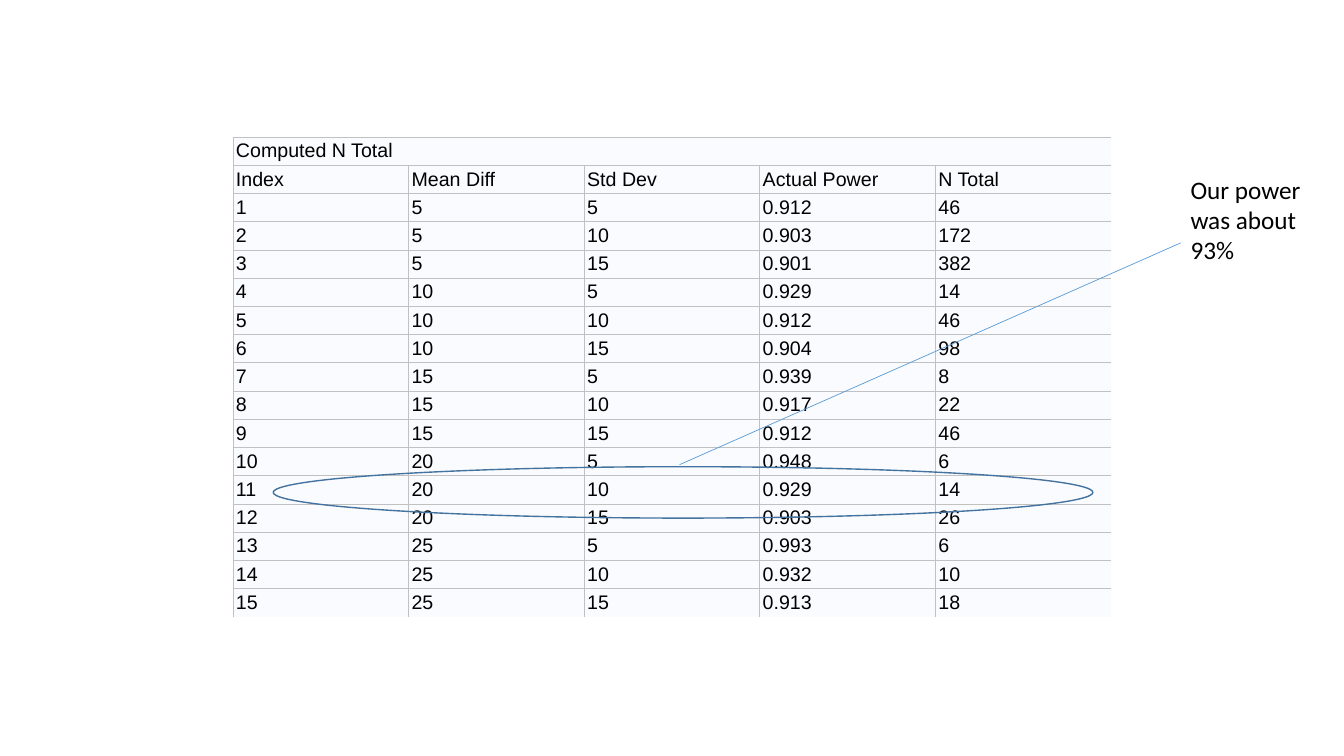
from itertools import product

from lxml.etree import SubElement
from pptx import Presentation
from pptx.dml.color import RGBColor
from pptx.enum.shapes import MSO_CONNECTOR as CONN, MSO_SHAPE as SHAPE
from pptx.oxml.ns import qn
from pptx.util import Inches, Pt

COLORS = {
    "text": "000000",
    "cell": "FAFBFE",
    "grid": "C1C1C1",
    "ellipse": "43739E",
    "pointer": "5B9BD5",
}

TITLE = "Computed N Total"
HEADERS = ["Index", "Mean Diff", "Std Dev", "Actual Power", "N Total"]
MEAN_DIFFS = [5, 10, 15, 20, 25]
STD_DEVS = [5, 10, 15]
# Actual power and total N for each mean difference and standard deviation
RESULTS = [
    ("0.912", 46), ("0.903", 172), ("0.901", 382),
    ("0.929", 14), ("0.912", 46), ("0.904", 98),
    ("0.939", 8), ("0.917", 22), ("0.912", 46),
    ("0.948", 6), ("0.929", 14), ("0.903", 26),
    ("0.993", 6), ("0.932", 10), ("0.913", 18),
]


def rgb(name):
    return RGBColor.from_string(COLORS[name])


def format_text(tf, font, size):
    for p in tf.paragraphs:
        for r in p.runs:
            r.font.name = font
            r.font.size = Pt(size)
            r.font.color.rgb = rgb("text")


def set_borders(cell, visible):
    tcPr = cell._tc.get_or_add_tcPr()
    for side, shown in visible.items():
        ln = SubElement(tcPr, qn(f"a:ln{side}"), w=str(Pt(0.5)))
        if shown:
            fill = SubElement(ln, qn("a:solidFill"))
            SubElement(fill, qn("a:srgbClr"), val=COLORS["grid"])
        else:
            SubElement(ln, qn("a:noFill"))


def format_cell(cell, text):
    cell.margin_left = cell.margin_right = cell.margin_top = Inches(0.03)
    cell.margin_bottom = Inches(0.02)
    cell.fill.solid()
    cell.fill.fore_color.rgb = rgb("cell")
    cell.text_frame.text = str(text)
    format_text(cell.text_frame, "Arial", 14)


def add_power_table(slide):
    settings = product(MEAN_DIFFS, STD_DEVS)
    rows = [[TITLE], HEADERS]
    for i, (setting, result) in enumerate(zip(settings, RESULTS), 1):
        rows.append([i, *setting, *result])
    n_rows, n_cols = len(rows), len(HEADERS)

    frame = slide.shapes.add_table(n_rows, n_cols, Inches(2.31), Inches(1.36),
                                   Inches(8.71), Inches(0.28 * n_rows))
    table = frame.table
    table.first_row = table.horz_banding = False
    for row in table.rows:
        row.height = Inches(0.28)
    table.cell(0, 0).merge(table.cell(0, n_cols - 1))

    # The grid is open on the right and at the bottom
    for r, c in product(range(n_rows), range(n_cols)):
        cell = table.cell(r, c)
        set_borders(cell, {
            "L": r > 0 or c == 0,
            "R": r > 0 and c < n_cols - 1,
            "T": True,
            "B": r < n_rows - 1,
        })
        format_cell(cell, rows[r][c] if c < len(rows[r]) else "")


def add_ellipse(slide, left, top, width, height):
    sp = slide.shapes.add_shape(SHAPE.OVAL, Inches(left), Inches(top),
                                Inches(width), Inches(height))
    sp.shadow.inherit = False
    sp.fill.background()
    sp.line.color.rgb = rgb("ellipse")
    sp.line.width = Pt(1)


def add_pointer(slide, x1, y1, x2, y2):
    line = slide.shapes.add_connector(CONN.STRAIGHT, Inches(x1), Inches(y1),
                                      Inches(x2), Inches(y2))
    line.line.color.rgb = rgb("pointer")
    line.line.width = Pt(0.5)
    SubElement(line._element.spPr, qn("a:effectLst"))


def add_note(slide, text, left, top, width, height):
    box = slide.shapes.add_textbox(Inches(left), Inches(top),
                                   Inches(width), Inches(height))
    tf = box.text_frame
    tf.word_wrap = True
    tf.text = text
    format_text(tf, "Calibri", 18)


def main():
    prs = Presentation()
    prs.slide_width = Inches(13.33)
    prs.slide_height = Inches(7.5)
    slide = prs.slides.add_slide(prs.slide_layouts[6])

    add_power_table(slide)

    # Highlighted result and its explanation
    add_ellipse(slide, 2.71, 4.63, 8.13, 0.51)
    add_pointer(slide, 6.74, 4.61, 11.71, 2.41)
    add_note(slide, "Our power was about 93%", 11.71, 1.68, 1.46, 1.01)

    prs.save("out.pptx")


if __name__ == "__main__":
    main()
